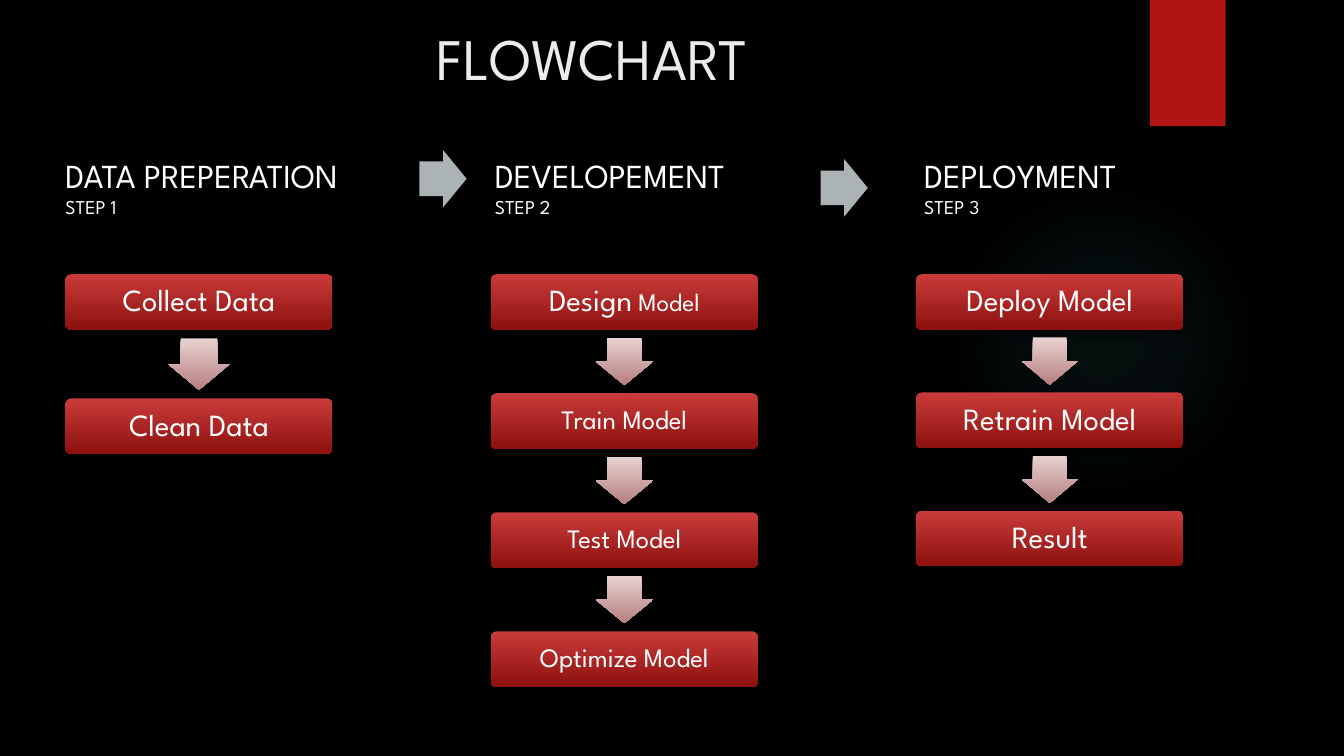
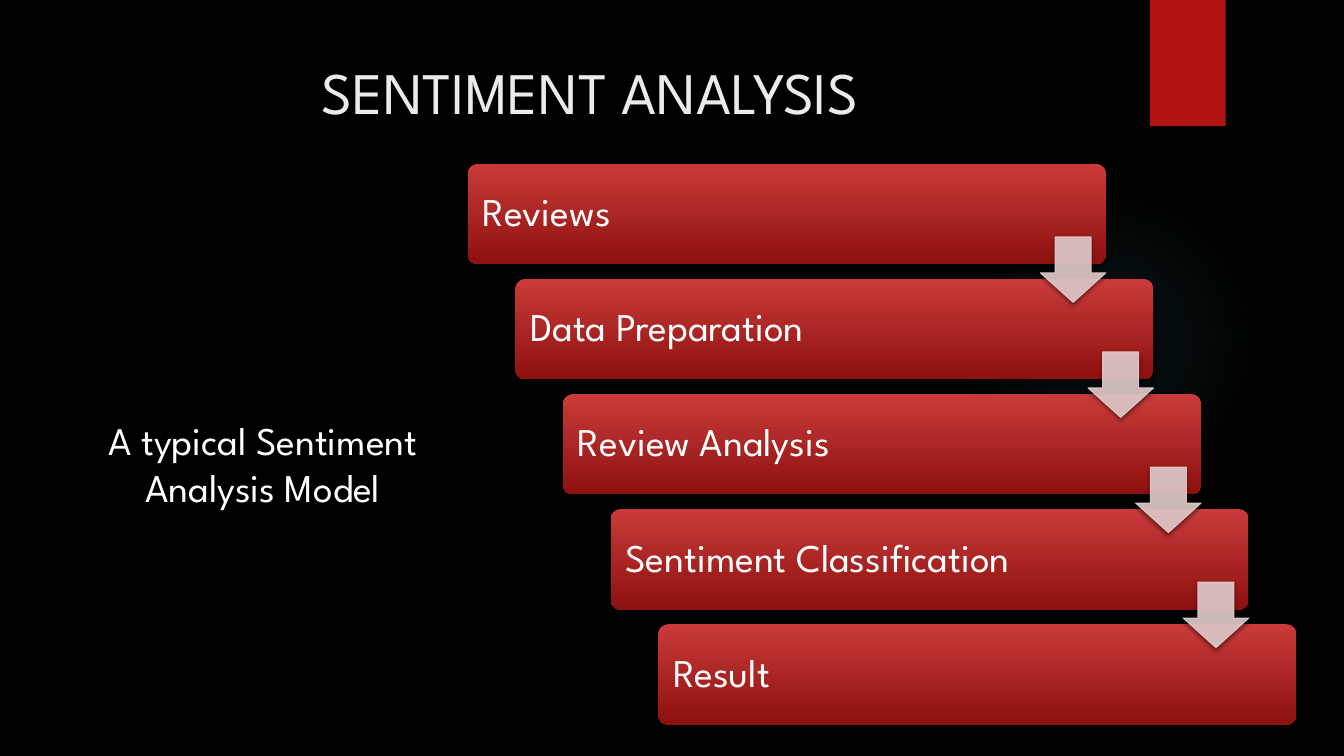
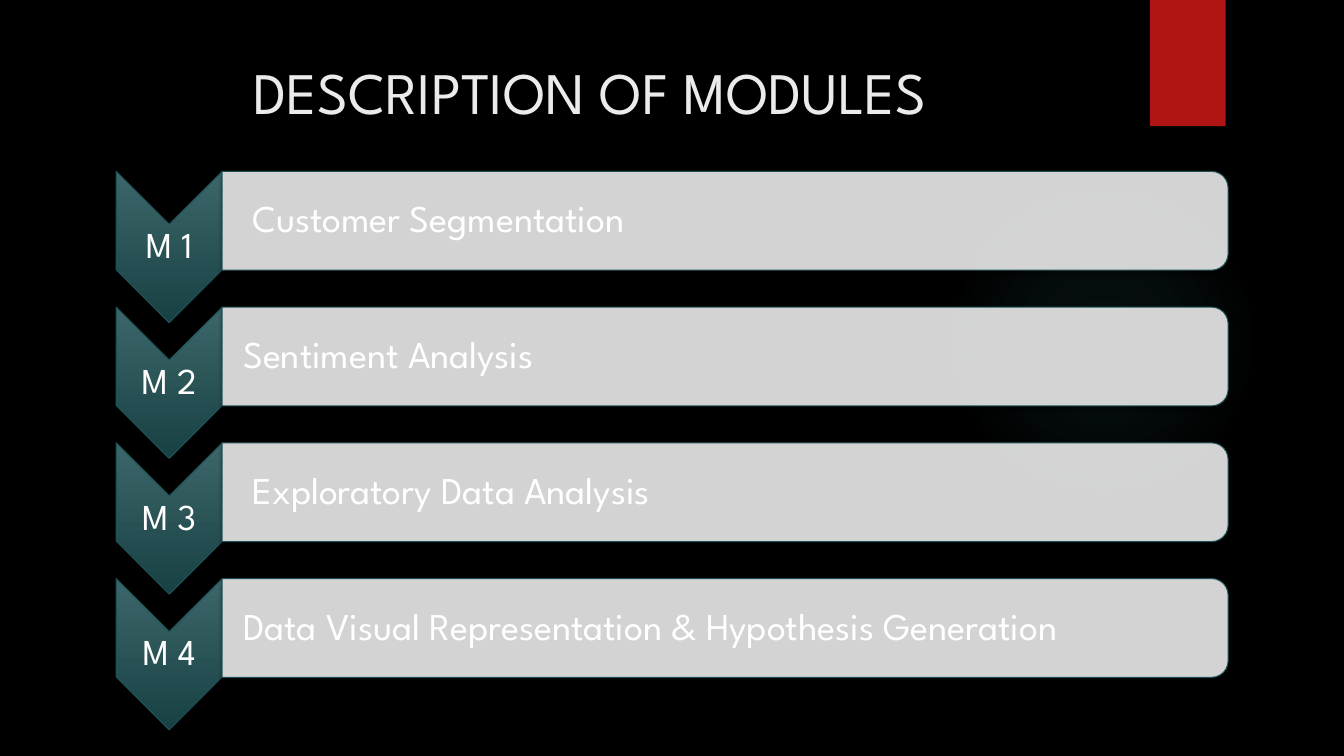
from dataclasses import dataclass
from typing import Optional

import pptx
import pptx.dml.color
import pptx.enum.shapes
import pptx.enum.text
import pptx.oxml.ns
import pptx.presentation
import pptx.shapes.autoshape
import pptx.slide
import pptx.util
from lxml import etree

Cm = pptx.util.Cm
Pt = pptx.util.Pt
qn = pptx.oxml.ns.qn
SHAPES = pptx.enum.shapes.MSO_SHAPE
ALIGN = pptx.enum.text.PP_ALIGN
ANCHOR = pptx.enum.text.MSO_ANCHOR
Slide = pptx.slide.Slide
Shape = pptx.shapes.autoshape.Shape


@dataclass(frozen=True)
class Stop:
    position: int
    color: str
    opacity: int = 100


@dataclass(frozen=True)
class Paint:
    stops: tuple[Stop, ...]
    radial: bool = False


@dataclass(frozen=True)
class Shadow:
    opacity: int
    blur: int
    distance: int


@dataclass(frozen=True)
class Look:
    paint: Paint
    line: Optional[Stop] = None
    shadow: Optional[Shadow] = None


@dataclass(frozen=True)
class Box:
    left: float
    top: float
    width: float
    height: float


@dataclass(frozen=True)
class Span:
    text: str
    size: float


@dataclass(frozen=True)
class FlowColumn:
    heading: str
    nodes: tuple[tuple[Span, ...], ...]
    pitch: float
    arrow_width: float
    arrow_height: float


@dataclass(frozen=True)
class Module:
    label: str
    text: str
    inset: float


def solid(color: str, opacity: int = 100) -> Paint:
    return Paint((Stop(0, color, opacity),))


def fade(start: str, end: str) -> Paint:
    return Paint((Stop(0, start), Stop(100, end)))


STRONG_SHADOW = Shadow(60, 5, 3)
SOFT_SHADOW = Shadow(45, 3, 2)


@dataclass(frozen=True)
class Theme:
    font: str = "League Spartan"
    background: str = "000000"
    title: str = "EBEBEB"
    text: str = "FFFFFF"
    title_size: float = 42
    heading_size: float = 24
    step_size: float = 14
    large_size: float = 28
    module_size: float = 27
    label_size: float = 26
    glow: Look = Look(
        Paint((Stop(0, "50B9C1", 7), Stop(36, "50B9C1", 6), Stop(69, "50B9C1", 0)), radial=True)
    )
    tab: Look = Look(solid("B01513"), shadow=SOFT_SHADOW)
    card: Look = Look(fade("C93B3A", "8D110F"), shadow=STRONG_SHADOW)
    flow_arrow: Look = Look(fade("E8D2D1", "B57F7F"), shadow=STRONG_SHADOW)
    stage_arrow: Look = Look(solid("ACB3B4"))
    stair_arrow: Look = Look(solid("E4CCCC", 90), Stop(0, "E4CCCC", 90), SOFT_SHADOW)
    chevron: Look = Look(fade("3D666A", "184144"), Stop(0, "1E5155"), STRONG_SHADOW)
    bar: Look = Look(solid("EBEBEB", 90), Stop(0, "1E5155"), SOFT_SHADOW)


THEME = Theme()

FLOW_COLUMNS = (
    FlowColumn(
        "DATA PREPERATION",
        ((Span("Collect Data", 22),), (Span("Clean Data", 22),)),
        3.13, 1.55, 1.3,
    ),
    FlowColumn(
        "DEVELOPEMENT",
        (
            (Span("Design", 22), Span(" Model", 18)),
            (Span("Train Model", 19),),
            (Span("Test Model", 19),),
            (Span("Optimize Model", 19),),
        ),
        3.0, 1.45, 1.19,
    ),
    FlowColumn(
        "DEPLOYMENT",
        ((Span("Deploy Model", 22),), (Span("Retrain Model", 22),), (Span("Result", 22),)),
        2.98, 1.42, 1.19,
    ),
)
STAIRS = ("Reviews", "Data Preparation", "Review Analysis", "Sentiment Classification", "Result")
MODULES = (
    Module("M 1", "Customer Segmentation", 0.76),
    Module("M 2", "Sentiment Analysis", 0.53),
    Module("M 3", "Exploratory Data Analysis", 0.76),
    Module("M 4", "Data Visual Representation & Hypothesis Generation", 0.53),
)


def rgb(color: str) -> pptx.dml.color.RGBColor:
    return pptx.dml.color.RGBColor.from_string(color)


def add_color(parent: etree._Element, color: str, opacity: int) -> None:
    element = etree.SubElement(parent, qn("a:srgbClr"), val=color)
    etree.SubElement(element, qn("a:alpha"), val=str(opacity * 1000))


def set_solid(fill: pptx.dml.fill.FillFormat, holder: etree._Element, stop: Stop) -> None:
    fill.solid()
    fill.fore_color.rgb = rgb(stop.color)
    if stop.opacity < 100:
        color = holder.find(qn("a:solidFill")).find(qn("a:srgbClr"))
        etree.SubElement(color, qn("a:alpha"), val=str(stop.opacity * 1000))


def set_gradient(shape: Shape, paint: Paint) -> None:
    shape.fill.gradient()
    gradient = shape.element.spPr.find(qn("a:gradFill"))
    gradient.clear()
    gradient.set("rotWithShape", "0")
    stops = etree.SubElement(gradient, qn("a:gsLst"))
    for stop in paint.stops:
        element = etree.SubElement(stops, qn("a:gs"), pos=str(stop.position * 1000))
        add_color(element, stop.color, stop.opacity)
    if paint.radial:
        circle = etree.SubElement(gradient, qn("a:path"), {"path": "circle"})
        etree.SubElement(circle, qn("a:fillToRect"), dict.fromkeys("ltrb", "50000"))
    else:
        etree.SubElement(gradient, qn("a:lin"), ang="5400000", scaled="0")


def apply_look(shape: Shape, look: Look) -> None:
    properties = shape.element.spPr
    if len(look.paint.stops) == 1:
        set_solid(shape.fill, properties, look.paint.stops[0])
    else:
        set_gradient(shape, look.paint)
    if look.line:
        shape.line.width = Pt(0.75)
        set_solid(shape.line.fill, properties.find(qn("a:ln")), look.line)
    else:
        shape.line.fill.background()
    shape.shadow.inherit = False
    if look.shadow:
        outer = etree.SubElement(
            properties.find(qn("a:effectLst")),
            qn("a:outerShdw"),
            blurRad=str(Pt(look.shadow.blur)),
            dist=str(Pt(look.shadow.distance)),
            dir="5400000",
            rotWithShape="0",
        )
        add_color(outer, "000000", look.shadow.opacity)


def add_figure(
    slide: Slide,
    kind: SHAPES,
    box: Box,
    look: Look,
    adjustments: tuple[float, ...] = (),
    quarter_turn: bool = False,
) -> Shape:
    left, top, width, height = box.left, box.top, box.width, box.height
    if quarter_turn:
        left, top = left + (width - height) / 2, top + (height - width) / 2
        width, height = height, width
    shape = slide.shapes.add_shape(kind, Cm(left), Cm(top), Cm(width), Cm(height))
    shape.rotation = 90 if quarter_turn else 0
    for index, value in enumerate(adjustments):
        shape.adjustments[index] = value
    apply_look(shape, look)
    return shape


def write_lines(
    shape: Shape,
    lines: tuple[tuple[Span, ...], ...],
    align: ALIGN = ALIGN.LEFT,
    color: str = THEME.text,
    spacing: float = 1.0,
) -> None:
    frame = shape.text_frame
    frame.word_wrap = True
    for index, spans in enumerate(lines):
        paragraph = frame.paragraphs[0] if index == 0 else frame.add_paragraph()
        paragraph.alignment = align
        paragraph.line_spacing = spacing
        paragraph.font.name = THEME.font
        paragraph.font.size = Pt(spans[0].size)
        paragraph.font.color.rgb = rgb(color)
        for span in spans:
            run = paragraph.add_run()
            run.text = span.text
            if span.size != spans[0].size:
                run.font.size = Pt(span.size)


def set_insets(shape: Shape, left: float, other: float) -> None:
    frame = shape.text_frame
    frame.margin_left = Cm(left)
    frame.margin_right = frame.margin_top = frame.margin_bottom = Cm(other)
    frame.vertical_anchor = ANCHOR.MIDDLE


def add_text_box(slide: Slide, box: Box) -> Shape:
    return slide.shapes.add_textbox(Cm(box.left), Cm(box.top), Cm(box.width), Cm(box.height))


def add_card(
    slide: Slide, box: Box, spans: tuple[Span, ...], align: ALIGN, inset: float
) -> None:
    card = add_figure(slide, SHAPES.ROUNDED_RECTANGLE, box, THEME.card, (0.1,))
    set_insets(card, inset, inset)
    write_lines(card, (spans,), align, spacing=0.9)


def add_titled_slide(
    presentation: pptx.presentation.Presentation, text: str, left: float, top: float
) -> Slide:
    slide = presentation.slides.add_slide(presentation.slide_layouts[5])
    title = slide.shapes.title
    title.left, title.top, title.width, title.height = Cm(left), Cm(top), Cm(26.14), Cm(2.16)
    title.text_frame.vertical_anchor = ANCHOR.TOP
    title.text_frame.auto_size = pptx.enum.text.MSO_AUTO_SIZE.NONE
    write_lines(title, ((Span(text, THEME.title_size),),), ALIGN.CENTER, THEME.title)
    return slide


def build_flowchart(presentation: pptx.presentation.Presentation) -> None:
    slide = add_titled_slide(presentation, "FLOWCHART", 1.85, 0.43)
    card_width, card_height, first_top = 6.73, 1.4, 6.91
    for index, column in enumerate(FLOW_COLUMNS):
        heading = add_text_box(slide, Box(1.4 + 10.82 * index, 3.78, 9.42, 1.88))
        step = Span(f"STEP {index + 1}", THEME.step_size)
        write_lines(heading, ((Span(column.heading, THEME.heading_size),), (step,)))
        left = 1.65 + 10.72 * index
        for row, spans in enumerate(column.nodes):
            top = first_top + column.pitch * row
            add_card(slide, Box(left, top, card_width, card_height), spans, ALIGN.CENTER, 0.2)
            if row:
                arrow = Box(
                    left + (card_width - column.arrow_width) / 2,
                    top - (column.pitch - card_height + column.arrow_height) / 2,
                    column.arrow_width,
                    column.arrow_height,
                )
                add_figure(slide, SHAPES.DOWN_ARROW, arrow, THEME.flow_arrow, (0.6, 0.5))
    for left, top in ((10.57, 3.78), (20.68, 4.01)):
        box = Box(left, top, 1.19, 1.45)
        add_figure(slide, SHAPES.RIGHT_ARROW, box, THEME.stage_arrow, (0.6, 0.5))


def build_sentiment_analysis(presentation: pptx.presentation.Presentation) -> None:
    slide = add_titled_slide(presentation, "SENTIMENT ANALYSIS", 1.8, 1.27)
    stairs = [Box(11.79 + 1.2 * i, 4.13 + 2.9 * i, 16.08, 2.53) for i in range(len(STAIRS))]
    for box, text in zip(stairs, STAIRS):
        add_card(slide, box, (Span(text, THEME.large_size),), ALIGN.LEFT, 0.3)
    side = 1.65
    for box in stairs[:-1]:
        arrow = Box(box.left + box.width - side, box.top + 1.84, side, side)
        add_figure(slide, SHAPES.DOWN_ARROW, arrow, THEME.stair_arrow, (0.55, 0.45))
    caption = add_text_box(slide, Box(1.47, 10.36, 10.31, 2.64))
    text = Span("A typical Sentiment Analysis Model", THEME.large_size)
    write_lines(caption, ((text,),), ALIGN.CENTER)


def build_modules(presentation: pptx.presentation.Presentation) -> None:
    slide = add_titled_slide(presentation, "DESCRIPTION OF MODULES", 1.8, 1.27)
    for index, module in enumerate(MODULES):
        top = 4.32 + 3.42 * index
        chevron = Box(2.93, top, 2.67, 3.81)
        add_figure(slide, SHAPES.CHEVRON, chevron, THEME.chevron, quarter_turn=True)
        label = add_text_box(slide, Box(2.93, top + 1.33, 2.67, 1.14))
        set_insets(label, 0.05, 0.05)
        write_lines(label, ((Span(module.label, THEME.label_size),),), ALIGN.CENTER, spacing=0.9)
        bar = Box(5.6, top, 25.35, 2.49)
        add_figure(
            slide, SHAPES.ROUND_2_SAME_RECTANGLE, bar, THEME.bar, quarter_turn=True
        )
        name = add_text_box(slide, Box(5.6, top + 0.12, 25.22, 2.24))
        set_insets(name, module.inset, 0.05)
        write_lines(name, ((Span(module.text, THEME.module_size),),), spacing=0.9)


def build_master(presentation: pptx.presentation.Presentation) -> None:
    master = presentation.slide_master
    master.background.fill.solid()
    master.background.fill.fore_color.rgb = rgb(THEME.background)
    slide = presentation.slides[0]
    glow = add_figure(slide, SHAPES.OVAL, Box(23.9, 4.65, 7.82, 7.82), THEME.glow)
    tab = add_figure(slide, SHAPES.RECTANGLE, Box(28.98, 0, 1.91, 3.18), THEME.tab)
    for position, shape in enumerate((glow, tab), start=2):
        master.shapes.element.insert(position, shape.element)


def main() -> None:
    presentation = pptx.Presentation()
    presentation.slide_width = Cm(33.87)
    presentation.slide_height = Cm(19.05)
    build_flowchart(presentation)
    build_sentiment_analysis(presentation)
    build_modules(presentation)
    build_master(presentation)
    presentation.save("out.pptx")


if __name__ == "__main__":
    main()
